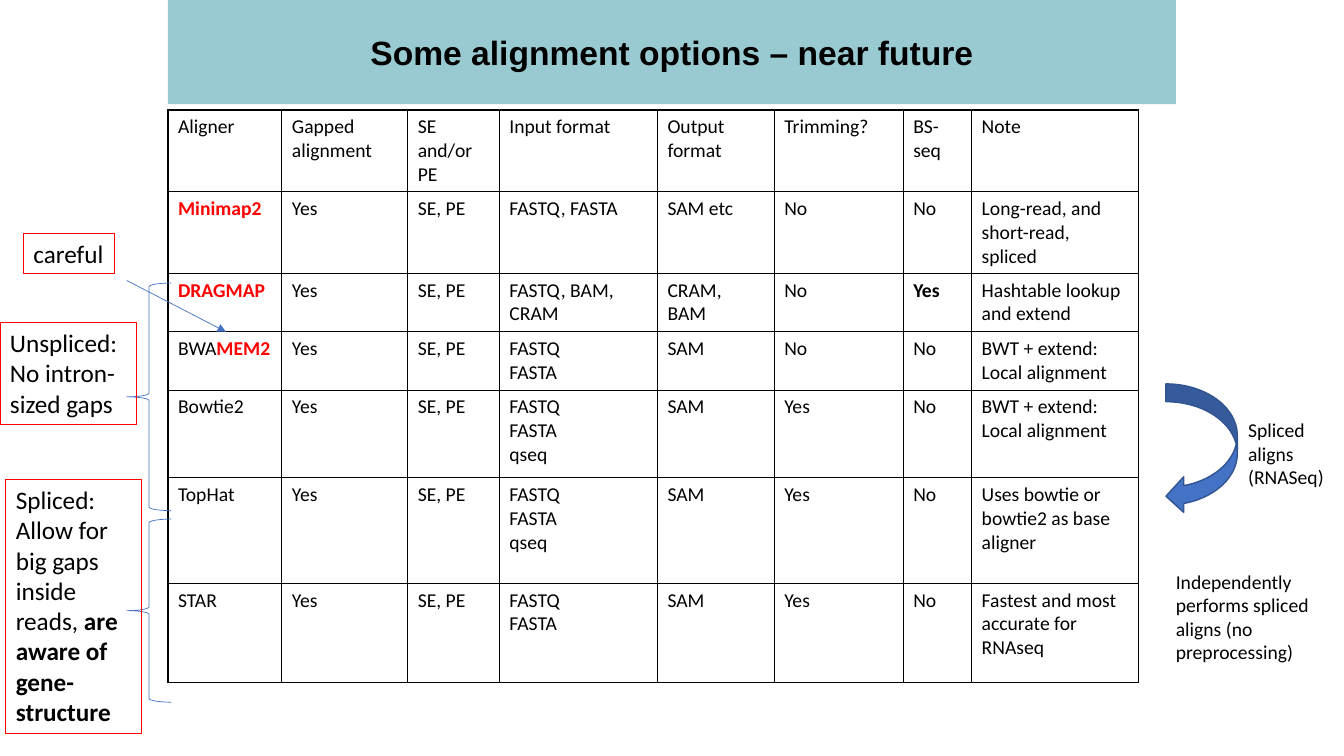
from dataclasses import dataclass
from lxml import etree
from pptx import Presentation
from pptx.dml.color import RGBColor
from pptx.enum.shapes import MSO_CONNECTOR, MSO_SHAPE
from pptx.enum.text import MSO_ANCHOR, MSO_AUTO_SIZE, PP_ALIGN
from pptx.oxml.ns import qn
from pptx.util import Inches, Pt

RECTANGLE = MSO_SHAPE.RECTANGLE
BRACE = MSO_SHAPE.LEFT_BRACE
CURVED_ARROW = MSO_SHAPE.CURVED_LEFT_ARROW
STRAIGHT = MSO_CONNECTOR.STRAIGHT
CENTER = PP_ALIGN.CENTER
MIDDLE = MSO_ANCHOR.MIDDLE
FIT_SHAPE = MSO_AUTO_SIZE.SHAPE_TO_FIT_TEXT

SLIDE_WIDTH, SLIDE_HEIGHT = Inches(13.333), Inches(7.5)
GRID_COLUMNS, GRID_ROWS = 16, 9


@dataclass(frozen=True)
class Theme:
    ink: str = "000000"
    alert: str = "FF0000"
    banner: str = "99CAD2"
    blue: str = "4472C4"
    blue_edge: str = "325491"
    heading_font: str = "Arial"
    body_font: str = "Calibri"
    heading_size: int = 24
    callout_size: int = 18
    body_size: int = 14


@dataclass(frozen=True)
class Box:
    left: float
    top: float
    width: float
    height: float

    def inner(self, column, row, columns, rows):
        return Box(self.left + column, self.top + row, columns, rows)

    def emu(self):
        across, down = SLIDE_WIDTH / GRID_COLUMNS, SLIDE_HEIGHT / GRID_ROWS
        return (int(self.left * across), int(self.top * down),
                int(self.width * across), int(self.height * down))


THEME = Theme()
COLUMN_WEIGHTS = [1.13, 1.25, 0.91, 1.57, 1.16, 1.28, 0.68, 1.66]
ROW_WEIGHTS = [0.81, 0.81, 0.58, 0.58, 0.87, 1.05, 0.98]
ALIGNERS = [
    ["Aligner", "Gapped alignment", "SE and/or PE", "Input format",
     "Output format", "Trimming?", "BS-seq", "Note"],
    ["|Minimap2", "Yes", "SE, PE", "FASTQ, FASTA", "SAM etc", "No", "No",
     "Long-read, and short-read, spliced"],
    ["|DRAGMAP", "Yes", "SE, PE", "FASTQ, BAM, CRAM", "CRAM, BAM", "No", "|Yes",
     "Hashtable lookup and extend"],
    ["BWA|MEM2", "Yes", "SE, PE", "FASTQ\nFASTA", "SAM", "No", "No",
     "BWT + extend:\nLocal alignment"],
    ["Bowtie2", "Yes", "SE, PE", "FASTQ\nFASTA\nqseq", "SAM", "Yes", "No",
     "BWT + extend:\nLocal alignment"],
    ["TopHat", "Yes", "SE, PE", "FASTQ\nFASTA\nqseq", "SAM", "Yes", "No",
     "Uses bowtie or bowtie2 as base aligner"],
    ["STAR", "Yes", "SE, PE", "FASTQ\nFASTA", "SAM", "Yes", "No",
     "Fastest and most accurate for RNAseq"],
]


def rgb(color):
    return RGBColor.from_string(color)


def style(font, face, size, color, bold):
    font.name, font.size, font.bold = face, Pt(size), bold
    font.color.rgb = rgb(color)


def write(frame, text, size, strong_color=THEME.ink):
    lines = text.split("\n")
    frame.text = "\n".join(line.partition("|")[0] for line in lines)
    for paragraph, line in zip(frame.paragraphs, lines):
        for run in paragraph.runs:
            style(run.font, THEME.body_font, size, THEME.ink, False)
        strong = line.partition("|")[2]
        if strong:
            run = paragraph.add_run()
            run.text = strong
            style(run.font, THEME.body_font, size, strong_color, True)


def add_label(slide, box, text, size, edge=None, wrap=True):
    label = slide.shapes.add_textbox(*box.emu())
    frame = label.text_frame
    frame.word_wrap = wrap
    frame.auto_size = FIT_SHAPE
    write(frame, text, size)
    if edge:
        label.line.color.rgb = rgb(edge)
        label.line.width = Pt(0.75)


def add_figure(slide, preset, box, fill=None, edge=None, edge_width=0.5):
    figure = slide.shapes.add_shape(preset, *box.emu())
    figure.shadow.inherit = False
    if fill:
        figure.fill.solid()
        figure.fill.fore_color.rgb = rgb(fill)
    else:
        figure.fill.background()
    if edge:
        figure.line.color.rgb = rgb(edge)
        figure.line.width = Pt(edge_width)
    else:
        figure.line.fill.background()
    return figure


def add_pointer(slide, box):
    left, top, width, height = box.emu()
    pointer = slide.shapes.add_connector(STRAIGHT, left, top, left + width, top + height)
    pointer.line.color.rgb = rgb(THEME.blue)
    pointer.line.width = Pt(0.5)
    properties = pointer._element.spPr
    etree.SubElement(properties.find(qn("a:ln")), qn("a:tailEnd"), type="triangle")
    etree.SubElement(properties, qn("a:effectLst"))


def outline_cell(cell):
    properties = cell._tc.get_or_add_tcPr()
    for side in ("lnL", "lnR", "lnT", "lnB"):
        border = etree.SubElement(properties, qn(f"a:{side}"), w=str(Pt(1)))
        fill = etree.SubElement(border, qn("a:solidFill"))
        etree.SubElement(fill, qn("a:srgbClr"), val=THEME.ink)
    cell.fill.background()


def draw_title(slide, box):
    banner = add_figure(slide, RECTANGLE, box, fill=THEME.banner)
    frame = banner.text_frame
    frame.text = "Some alignment options – near future"
    frame.word_wrap = True
    frame.vertical_anchor = MIDDLE
    heading = frame.paragraphs[0]
    heading.alignment = CENTER
    style(heading.runs[0].font, THEME.heading_font, THEME.heading_size, THEME.ink, True)


def draw_aligner_table(slide, box):
    left, top, width, height = box.emu()
    table = slide.shapes.add_table(len(ALIGNERS), len(COLUMN_WEIGHTS),
                                   left, top, width, height).table
    table.first_row = table.horz_banding = False
    for column, weight in zip(table.columns, COLUMN_WEIGHTS):
        column.width = int(width * weight / sum(COLUMN_WEIGHTS))
    for row, weight, aligner in zip(table.rows, ROW_WEIGHTS, ALIGNERS):
        row.height = int(height * weight / sum(ROW_WEIGHTS))
        for index, (cell, text) in enumerate(zip(row.cells, aligner)):
            strong_color = THEME.alert if index == 0 else THEME.ink
            write(cell.text_frame, text, THEME.body_size, strong_color)
            outline_cell(cell)


def draw_splicing_callouts(slide, box):
    for row, rows in ((3.48, 2.18), (0.67, 2.71)):
        add_figure(slide, BRACE, box.inner(1.51, row, 0.53, rows), edge=THEME.blue)
    callouts = [
        (box.inner(0, 1.14, 1.62, 1.21), "Unspliced:\nNo intron-sized gaps", True),
        (box.inner(0.07, 3.01, 1.62, 3.02),
         "Spliced:\nAllow for big gaps inside reads, |are aware of gene-structure", True),
        (box.inner(0.28, 0.08, 1.08, 0.48), "careful", False),
    ]
    for place, text, wrap in callouts:
        add_label(slide, place, text, THEME.callout_size, THEME.alert, wrap)
    add_pointer(slide, box.inner(1.51, 0.64, 1.18, 0.61))


def draw_rnaseq_notes(slide, box):
    add_figure(slide, CURVED_ARROW, box.inner(0, 0, 0.85, 1.55),
               THEME.blue, THEME.blue_edge, 1)
    add_label(slide, box.inner(0.86, 0.35, 1.26, 0.97),
              "Spliced aligns\n(RNASeq)", THEME.body_size)
    add_label(slide, box.inner(0, 2.15, 2.11, 1.25),
              "Independently performs spliced aligns (no preprocessing)", THEME.body_size)


def main():
    deck = Presentation()
    deck.slide_width, deck.slide_height = SLIDE_WIDTH, SLIDE_HEIGHT
    slide = deck.slides.add_slide(deck.slide_layouts[6])
    draw_aligner_table(slide, Box(2, 1.31, 11.56, 6.81))
    draw_title(slide, Box(2, 0, 12, 1.24))
    draw_rnaseq_notes(slide, Box(13.88, 4.57, 2.12, 3.4))
    draw_splicing_callouts(slide, Box(0, 2.7, 2.7, 6.1))
    deck.save("out.pptx")


if __name__ == "__main__":
    main()
